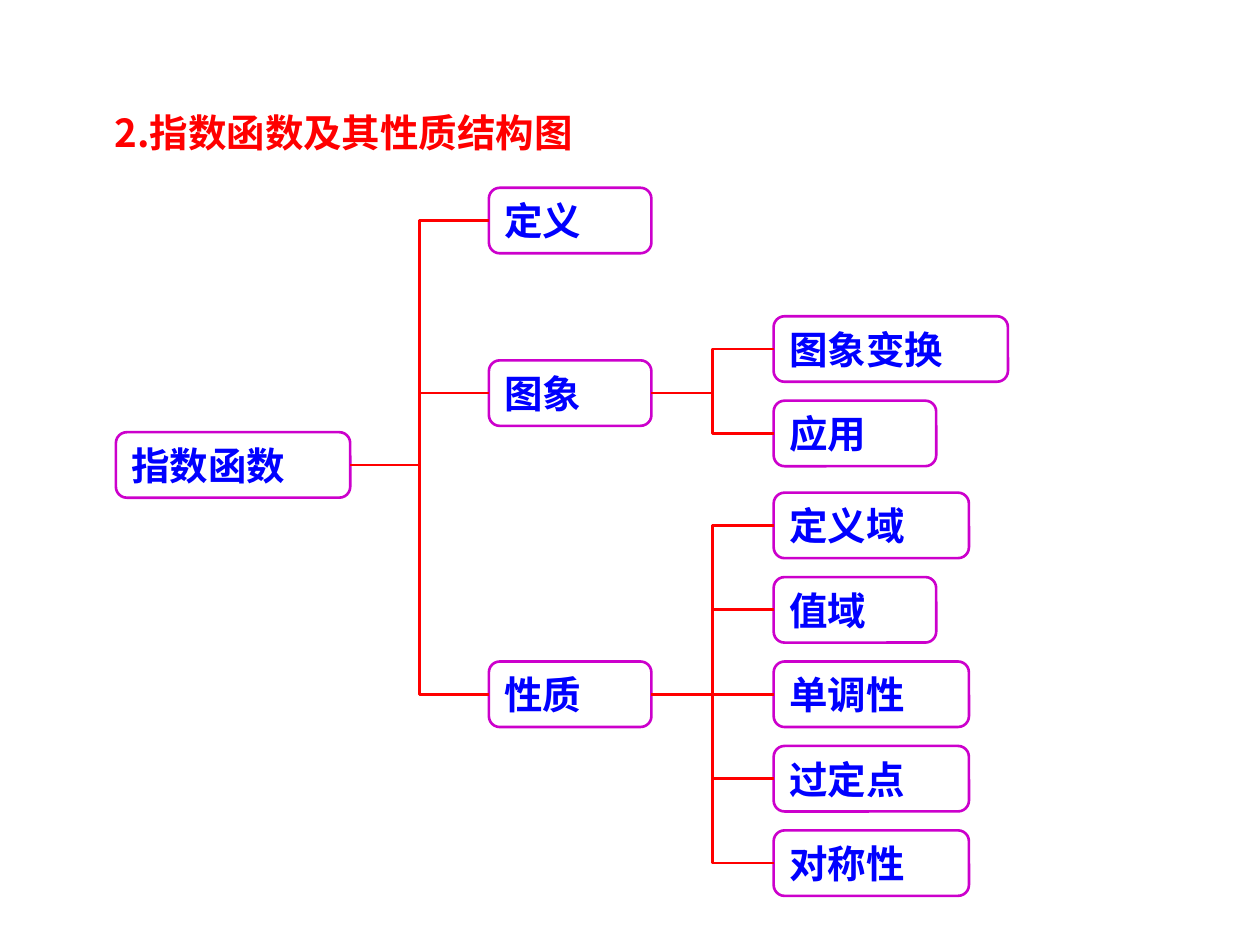
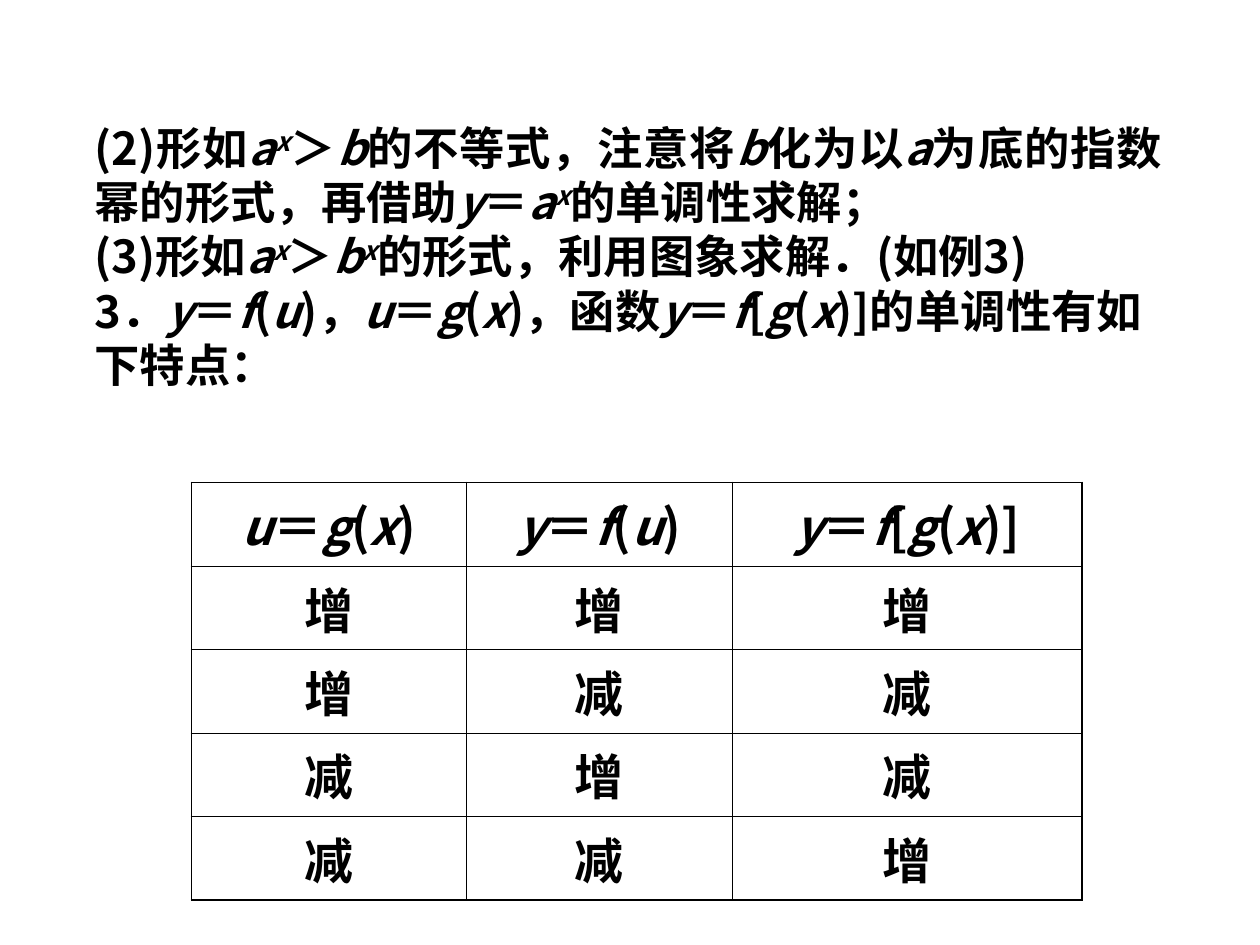
"""Build two slides on exponential functions: a structure tree and a monotonicity table."""
from itertools import groupby, pairwise

from lxml.etree import SubElement
from pptx import Presentation
from pptx.dml.color import RGBColor
from pptx.enum.shapes import MSO_CONNECTOR, MSO_SHAPE
from pptx.enum.text import MSO_ANCHOR, MSO_AUTO_SIZE, PP_ALIGN
from pptx.oxml.ns import qn
from pptx.util import Inches, Pt

COLORS = {"title": "FF0000", "node": "0000FF", "outline": "CC00CC", "link": "FF0000", "text": "000000"}
FONT = "Noto Sans CJK SC"
VARIABLES = "abfguxy"


def style_paragraph(paragraph, size, color, alignment=PP_ALIGN.LEFT):
    """Set the shared bold typeface for Latin and East Asian text."""
    paragraph.alignment = alignment
    paragraph.space_before = Pt(0)
    font = paragraph.font
    font.size, font.bold, font.name = Pt(size), True, FONT
    font.color.rgb = RGBColor.from_string(COLORS[color])
    defaults = paragraph._p.pPr.find(qn("a:defRPr"))
    SubElement(defaults, qn("a:ea")).set("typeface", FONT)


def write_formula(paragraph, text):
    """Add runs with italic variables, raising each letter that follows a caret."""
    styled = [(character, character in VARIABLES, previous == "^")
              for previous, character in pairwise(" " + text) if character != "^"]
    for (italic, raised), group in groupby(styled, key=lambda item: item[1:]):
        run = paragraph.add_run()
        run.text = "".join(item[0] for item in group)
        if italic:
            run.font.italic = True
        if raised:
            run._r.get_or_add_rPr().set("baseline", "30000")


presentation = Presentation()
presentation.slide_width, presentation.slide_height = Inches(10), Inches(7.5)

slide = presentation.slides.add_slide(presentation.slide_layouts[5])
title = slide.shapes.title
title.left, title.top, title.width, title.height = Inches(0.81), Inches(0.67), Inches(7.19), Inches(0.62)
title.text_frame.text = "2.指数函数及其性质结构图"
title.text_frame.vertical_anchor = MSO_ANCHOR.TOP
title.text_frame.auto_size = MSO_AUTO_SIZE.NONE
title.text_frame.paragraphs[0].line_spacing = 1.4
style_paragraph(title.text_frame.paragraphs[0], 22, "title")

COLUMNS = [0.92, 3.88, 6.14]
WIDTHS = {2: 1.29, 3: 1.55, 4: 1.86}
NODE_HEIGHT = 0.52
ROW_STEP = 0.67
GRAPH_TOP, PROPERTY_TOP = 2.51, 3.91
tree = [
    ("指数函数", None, 0, 3.43),
    ("定义", "指数函数", 1, 1.49),
    ("图象", "指数函数", 1, 2.86),
    ("性质", "指数函数", 1, PROPERTY_TOP + 2 * ROW_STEP),
]
branches = [
    ("图象", GRAPH_TOP, ["图象变换", "应用"]),
    ("性质", PROPERTY_TOP, ["定义域", "值域", "单调性", "过定点", "对称性"]),
]
for parent, top, leaves in branches:
    tree += [(leaf, parent, 2, top + row * ROW_STEP) for row, leaf in enumerate(leaves)]

nodes = {}
for label, parent, column, top in tree:
    node = slide.shapes.add_shape(
        MSO_SHAPE.FLOWCHART_ALTERNATE_PROCESS, Inches(COLUMNS[column]), Inches(top),
        Inches(WIDTHS[len(label)]), Inches(NODE_HEIGHT))
    node.shadow.inherit = False
    node.fill.background()
    node.line.color.rgb = RGBColor.from_string(COLORS["outline"])
    node.line.width = Pt(1.5)
    node.text_frame.text = label
    node.text_frame.word_wrap = True
    node.text_frame.auto_size = MSO_AUTO_SIZE.SHAPE_TO_FIT_TEXT
    node.text_frame.vertical_anchor = MSO_ANCHOR.MIDDLE
    style_paragraph(node.text_frame.paragraphs[0], 22, "node")
    nodes[label] = node

for label, parent, column, top in tree:
    if parent is None:
        continue
    start, end = nodes[parent], nodes[label]
    kind = MSO_CONNECTOR.STRAIGHT if start.top == end.top else MSO_CONNECTOR.ELBOW
    connector = slide.shapes.add_connector(kind, 0, 0, 0, 0)
    connector.begin_connect(start, 3)
    connector.end_connect(end, 1)
    connector.line.color.rgb = RGBColor.from_string(COLORS["link"])
    connector.line.width = Pt(1.5)
    SubElement(connector._element.spPr, qn("a:effectLst"))

slide = presentation.slides.add_slide(presentation.slide_layouts[1])
title_element = slide.shapes.title._element
title_element.getparent().remove(title_element)
body = slide.placeholders[1]
body.left, body.top, body.width, body.height = Inches(0.65), Inches(0.9), Inches(8.67), Inches(2.5)
body.text_frame.auto_size = MSO_AUTO_SIZE.NONE
statements = [
    ("(2)形如a^x＞b的不等式，注意将b化为以a为底的指数幂的形式，再借助y＝a^x的单调性求解；", PP_ALIGN.JUSTIFY),
    ("(3)形如a^x＞b^x的形式，利用图象求解．(如例3)", PP_ALIGN.LEFT),
    ("3．y＝f(u)，u＝g(x)，函数y＝f[g(x)]的单调性有如下特点：", PP_ALIGN.LEFT),
]
for index, (statement, alignment) in enumerate(statements):
    paragraph = body.text_frame.add_paragraph() if index else body.text_frame.paragraphs[0]
    properties = paragraph._p.get_or_add_pPr()
    properties.set("marL", "0")
    properties.set("indent", "0")
    SubElement(properties, qn("a:buNone"))
    paragraph.line_spacing = 1.0
    style_paragraph(paragraph, 25.9, "text", alignment)
    write_formula(paragraph, statement)

rows = [["u＝g(x)", "y＝f(u)", "y＝f[g(x)]"], "增增增", "增减减", "减增减", "减减增"]
column_widths = [2.18, 2.11, 2.78]
row_height = 0.6
last_row, last_column = len(rows) - 1, len(column_widths) - 1
table = slide.shapes.add_table(
    len(rows), len(column_widths), Inches(1.52), Inches(3.83),
    Inches(sum(column_widths)), Inches(row_height * len(rows))).table
table.first_row = table.horz_banding = False
for column, width in zip(table.columns, column_widths):
    column.width = Inches(width)
for row_index, labels in enumerate(rows):
    table.rows[row_index].height = Inches(row_height)
    for column_index, label in enumerate(labels):
        cell = table.cell(row_index, column_index)
        cell.vertical_anchor = MSO_ANCHOR.MIDDLE
        cell.margin_left = cell.margin_right = Inches(0.08)
        paragraph = cell.text_frame.paragraphs[0]
        style_paragraph(paragraph, 28, "text", PP_ALIGN.CENTER)
        write_formula(paragraph, label)
        outer_edges = {"lnL": column_index == 0, "lnR": column_index == last_column,
                       "lnT": row_index == 0, "lnB": row_index == last_row}
        cell_properties = cell._tc.get_or_add_tcPr()
        for edge, is_outer in outer_edges.items():
            border = SubElement(cell_properties, qn(f"a:{edge}"), w=str(Pt(1.08 if is_outer else 0.45)))
            fill = SubElement(border, qn("a:solidFill"))
            SubElement(fill, qn("a:srgbClr"), val=COLORS["text"])
        cell.fill.background()

presentation.save("out.pptx")
